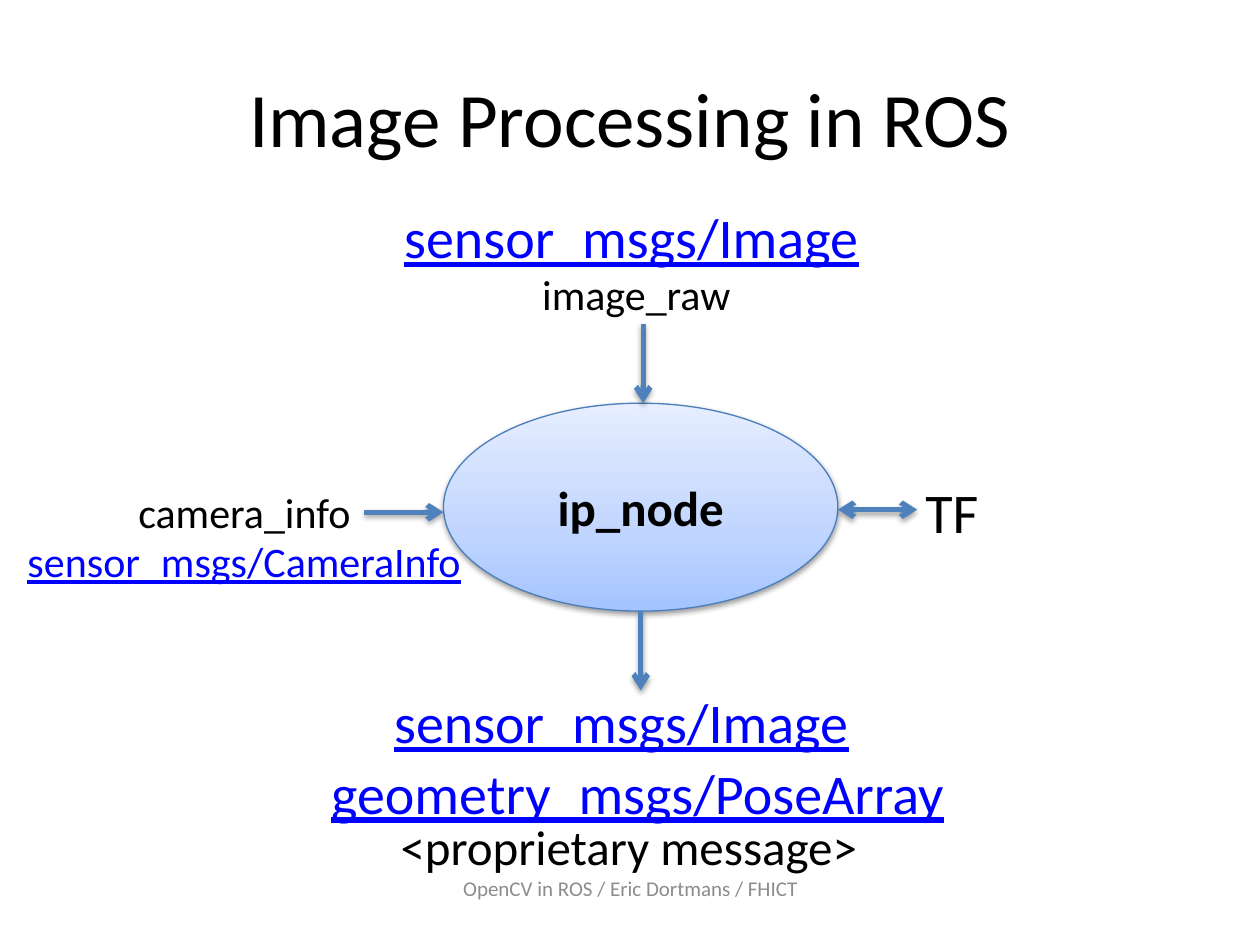
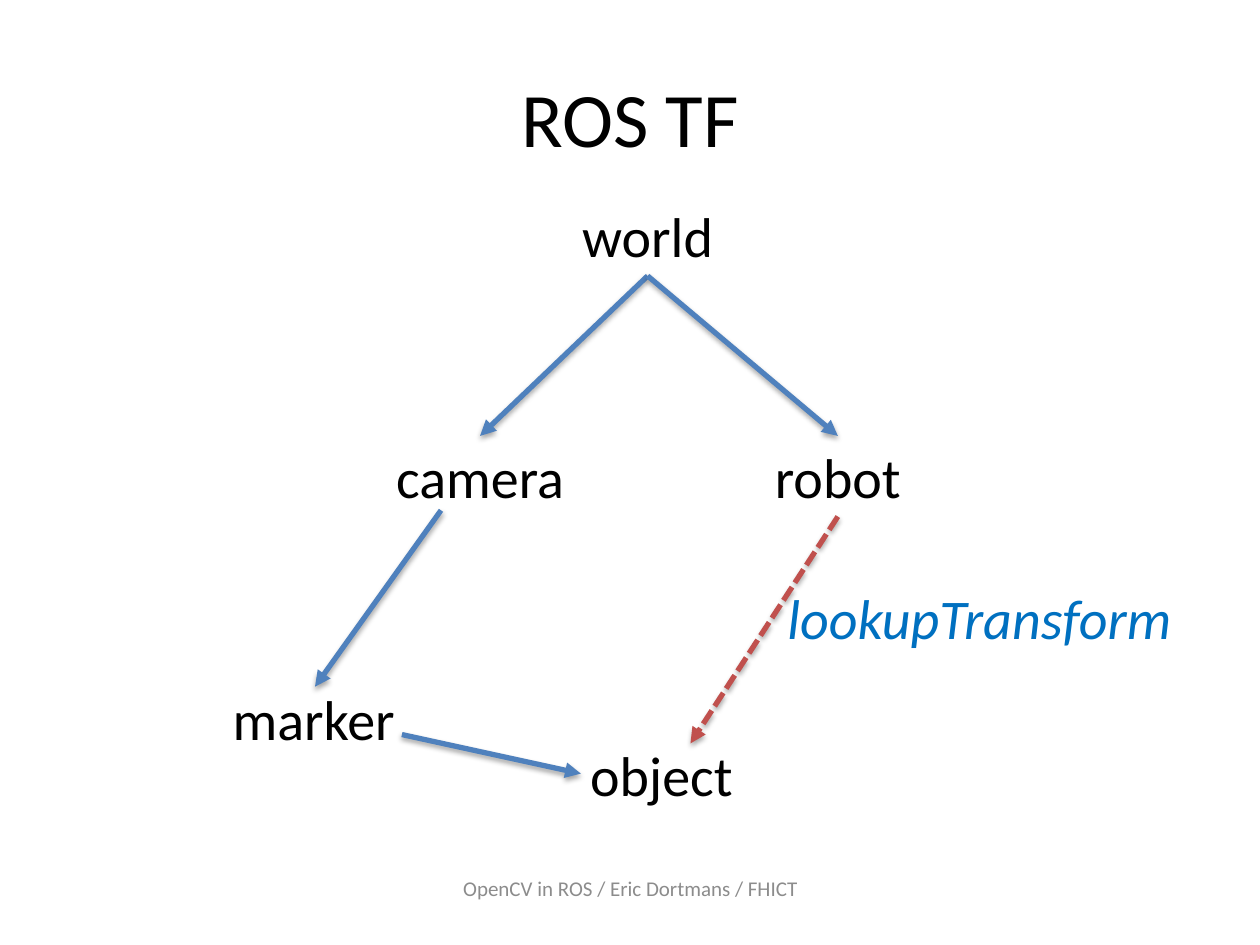
import pptx
import pptx.util
import pptx.dml.color
import pptx.enum.dml
import pptx.enum.shapes
import pptx.enum.text
import pptx.oxml.ns
import copy
import lxml.etree

Inches = pptx.util.Inches
ALIGN = pptx.enum.text.PP_ALIGN
ANCHOR = pptx.enum.text.MSO_ANCHOR

FONT = "Calibri"
BLACK, BLUE, RED = "000000", "4F81BD", "C0504D"
LINK, LOOKUP, GREY = "0000FF", "0070C0", "8C8C8C"
FOOTER = "OpenCV in ROS / Eric Dortmans / FHICT"

NODE_BOX = (3.52, 3.2, 3.13, 1.65)
NODE_GRADIENT = [(0, "A4C4FF"), (0.35, "BFD4FF"), (1, "E6EEFF")]
ARROW_LENGTH = 0.63
LINK_LABELS = [
    ("sensor_msgs/Image", (3.11, 1.56, 3.95, 0.64), 32),
    ("sensor_msgs/Image", (3.03, 5.41, 3.95, 0.64), 32),
    ("geometry_msgs/PoseArray", (2.53, 5.97, 5.11, 0.64), 32),
    ("sensor_msgs/CameraInfo", (0.12, 4.2, 3.67, 0.5), 24),
]
TOPIC_LABELS = [
    ("image_raw", (4.13, 2.08, 1.84, 0.5), 24),
    ("camera_info", (0.99, 3.81, 1.9, 0.5), 24),
    ("TF", (7.2, 3.74, 0.71, 0.64), 32),
    ("<proprietary message>", (2.39, 6.43, 5.2, 0.57), 28),
]

FRAME_WIDTH, FRAME_HEIGHT = 2.68, 0.64
FRAMES = {
    "world": (3.8, 1.55),
    "camera": (2.47, 3.46),
    "robot": (5.31, 3.46),
    "marker": (1.15, 5.38),
    "object": (3.91, 5.83),
}


def rgb(value):
    return pptx.dml.color.RGBColor.from_string(value)


def add_xml(parent, tag, **attributes):
    element = lxml.etree.SubElement(parent, pptx.oxml.ns.qn(tag))
    for name, value in attributes.items():
        element.set(name, str(value))
    return element


def add_shadow(effects, opacity, distance):
    shadow = add_xml(effects, "a:outerShdw", blurRad=pptx.util.Pt(3.1),
                     dist=pptx.util.Pt(distance), dir=90 * 60000, rotWithShape=0)
    color = add_xml(shadow, "a:srgbClr", val=BLACK)
    add_xml(color, "a:alpha", val=opacity * 1000)


def write(shape, text, size, color=BLACK, align=ALIGN.CENTER, anchor=ANCHOR.TOP,
          bold=False, italic=False, underline=False):
    frame = shape.text_frame
    frame.word_wrap = True
    frame.vertical_anchor = anchor
    frame.text = text
    paragraph = frame.paragraphs[0]
    paragraph.alignment = align
    font = paragraph.runs[0].font
    font.name = FONT
    font.size = pptx.util.Pt(size)
    font.color.rgb = rgb(color)
    font.bold, font.italic, font.underline = bold, italic, underline


def add_label(slide, text, box, size, **style):
    write(slide.shapes.add_textbox(*map(Inches, box)), text, size, **style)


def add_arrow(slide, start, end, tip, color=BLUE, dashed=False, both_ends=False):
    arrow = slide.shapes.add_connector(pptx.enum.shapes.MSO_CONNECTOR.STRAIGHT,
                                       *map(Inches, (*start, *end)))
    arrow.line.color.rgb = rgb(color)
    arrow.line.width = pptx.util.Pt(3)
    if dashed:
        arrow.line.dash_style = pptx.enum.dml.MSO_LINE.SQUARE_DOT
    line = arrow.line._get_or_add_ln()
    if both_ends:
        add_xml(line, "a:headEnd", type=tip)
    add_xml(line, "a:tailEnd", type=tip)
    properties = arrow._element.spPr
    add_shadow(add_xml(properties, "a:effectLst"), 35, 1.8)


def add_slide(presentation, title):
    slide = presentation.slides.add_slide(presentation.slide_layouts[6])
    add_label(slide, title, (0.5, 0.3, 9, 1.25), 44, anchor=ANCHOR.MIDDLE)
    add_label(slide, FOOTER, (3.42, 6.9, 3.17, 0.3), 12, color=GREY,
              anchor=ANCHOR.MIDDLE)
    return slide


def add_node(slide):
    ellipse = slide.shapes.add_shape(pptx.enum.shapes.MSO_SHAPE.OVAL,
                                     *map(Inches, NODE_BOX))
    fill = ellipse.fill
    fill.gradient()
    fill.gradient_angle = 90
    stop_list = ellipse._element.spPr.find(".//" + pptx.oxml.ns.qn("a:gsLst"))
    stop_list.append(copy.deepcopy(stop_list[0]))
    for stop, (position, color) in zip(fill.gradient_stops, NODE_GRADIENT):
        stop.position = position
        stop.color.rgb = rgb(color)
    ellipse.line.color.rgb = rgb("4B7EBC")
    ellipse.line.width = pptx.util.Pt(0.75)
    ellipse.shadow.inherit = False
    effects = ellipse._element.spPr.find(pptx.oxml.ns.qn("a:effectLst"))
    add_shadow(effects, 38, 1.6)
    write(ellipse, "ip_node", 28, bold=True, anchor=ANCHOR.MIDDLE)


def build_processing_slide(presentation):
    slide = add_slide(presentation, "Image Processing in ROS")
    add_node(slide)
    left, top, width, height = NODE_BOX
    right, bottom = left + width, top + height
    center, middle = left + width / 2, top + height / 2 + 0.02
    add_arrow(slide, (center + 0.02, top - ARROW_LENGTH), (center + 0.02, top), "arrow")
    add_arrow(slide, (center, bottom), (center, bottom + ARROW_LENGTH), "arrow")
    add_arrow(slide, (left - ARROW_LENGTH, middle + 0.02), (left, middle + 0.02), "arrow")
    add_arrow(slide, (right, middle), (right + ARROW_LENGTH, middle), "arrow",
              both_ends=True)
    for text, box, size in LINK_LABELS:
        add_label(slide, text, box, size, color=LINK, align=ALIGN.LEFT, underline=True)
    for text, box, size in TOPIC_LABELS:
        add_label(slide, text, box, size)


def frame_top(name):
    left, top = FRAMES[name]
    return left + FRAME_WIDTH / 2, top


def frame_bottom(name):
    center, top = frame_top(name)
    return center, top + FRAME_HEIGHT


def build_transform_slide(presentation):
    slide = add_slide(presentation, "ROS TF")
    for name, position in FRAMES.items():
        add_label(slide, name, (*position, FRAME_WIDTH, FRAME_HEIGHT), 32)
    for child in ("camera", "robot"):
        add_arrow(slide, frame_bottom("world"), frame_top(child), "triangle")
    add_arrow(slide, (3.5, 4.05), (2.5, 5.45), "triangle")
    add_arrow(slide, (3.19, 5.83), (4.61, 6.14), "triangle")
    add_arrow(slide, frame_bottom("robot"), (5.48, 5.9), "triangle", RED, dashed=True)
    add_label(slide, "lookupTransform", (6.15, 4.58, 3.63, 0.64), 32, color=LOOKUP,
              align=ALIGN.LEFT, italic=True)


def main():
    presentation = pptx.Presentation()
    presentation.slide_width, presentation.slide_height = Inches(10), Inches(7.5)
    build_processing_slide(presentation)
    build_transform_slide(presentation)
    presentation.save("out.pptx")


if __name__ == "__main__":
    main()
